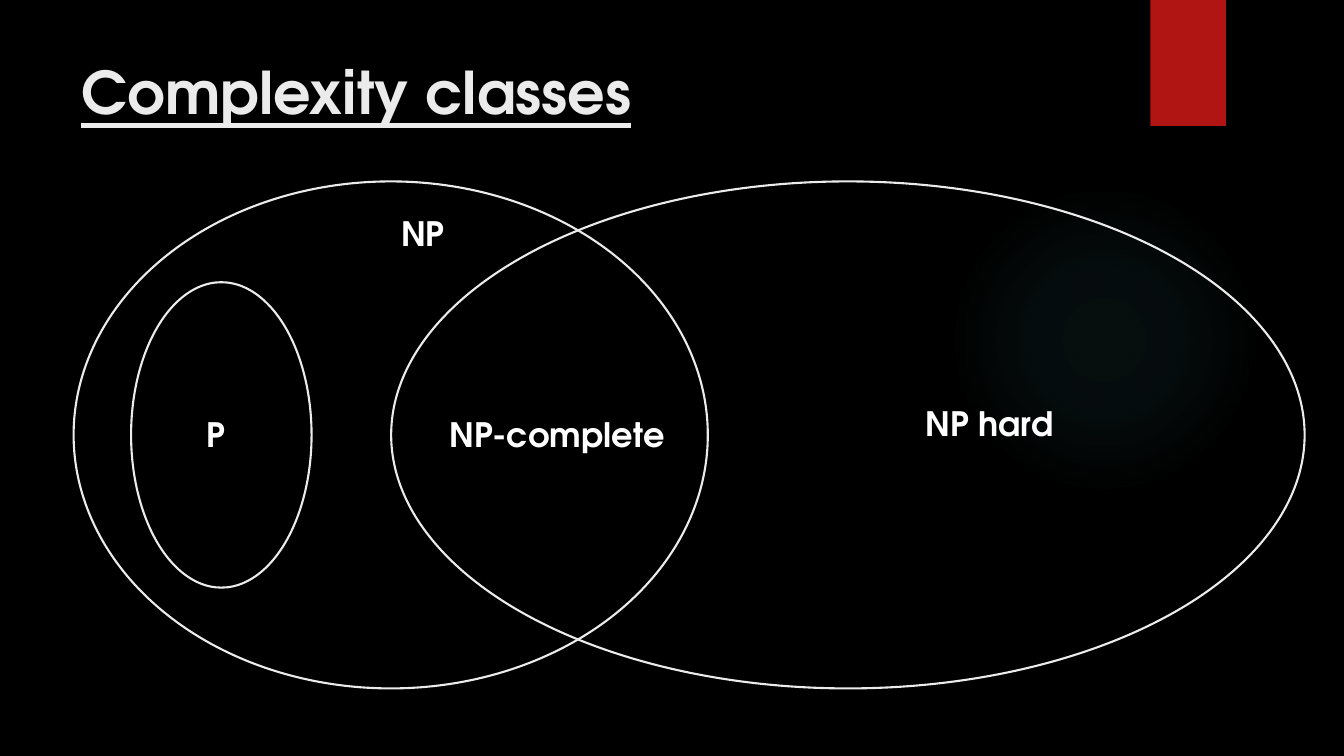
from dataclasses import dataclass

from pptx import Presentation
from pptx.dml.color import RGBColor
from pptx.enum.shapes import MSO_SHAPE
from pptx.enum.text import MSO_ANCHOR, MSO_AUTO_SIZE
from pptx.oxml import parse_xml
from pptx.oxml.ns import nsdecls, qn
from pptx.shapes.autoshape import Shape
from pptx.slide import Slide
from pptx.util import Inches, Pt

FONT = "TeX Gyre Adventor"
COLORS = {
    "background": "000000",
    "glow": "50B9C1",
    "ribbon": "B01513",
    "outline": "EBEBEB",
    "title": "EBEBEB",
    "label": "FFFFFF",
}


@dataclass
class Box:
    left: float
    top: float
    width: float
    height: float

    def lengths(self) -> list[Inches]:
        return [Inches(v) for v in (self.left, self.top, self.width, self.height)]


@dataclass
class Label:
    text: str
    box: Box
    size: int = 24
    color: str = "label"
    underline: bool = False
    wrap: bool = False


def rgb(name: str) -> RGBColor:
    return RGBColor.from_string(COLORS[name])


def add_plain_shape(s: Slide, kind: MSO_SHAPE, box: Box) -> Shape:
    sp = s.shapes.add_shape(kind, *box.lengths())
    sp.shadow.inherit = False
    sp.fill.background()
    sp.line.fill.background()
    return sp


def add_glow(s: Slide, box: Box, stops: list[tuple[int, int]]) -> None:
    """Draw a radial glow from (position %, opacity %) stops."""
    sp = add_plain_shape(s, MSO_SHAPE.OVAL, box)
    stops_xml = "".join(
        f'<a:gs pos="{pos * 1000}"><a:srgbClr val="{COLORS["glow"]}">'
        f'<a:alpha val="{alpha * 1000}"/></a:srgbClr></a:gs>'
        for pos, alpha in stops
    )
    grad = parse_xml(
        f'<a:gradFill {nsdecls("a")}><a:gsLst>{stops_xml}</a:gsLst>'
        '<a:path path="circle"><a:fillToRect l="50000" t="50000" r="50000" b="50000"/>'
        "</a:path></a:gradFill>"
    )
    spPr = sp.element.spPr
    spPr.replace(spPr.find(qn("a:noFill")), grad)


def add_class_outline(s: Slide, box: Box) -> None:
    sp = add_plain_shape(s, MSO_SHAPE.OVAL, box)
    sp.line.color.rgb = rgb("outline")
    sp.line.width = Pt(1.5)


def add_label(s: Slide, label: Label) -> None:
    tf = s.shapes.add_textbox(*label.box.lengths()).text_frame
    tf.text = label.text
    tf.word_wrap = label.wrap
    tf.vertical_anchor = MSO_ANCHOR.TOP
    tf.auto_size = MSO_AUTO_SIZE.NONE if label.wrap else MSO_AUTO_SIZE.SHAPE_TO_FIT_TEXT
    font = tf.paragraphs[0].runs[0].font
    font.name = FONT
    font.size = Pt(label.size)
    font.bold = True
    font.underline = label.underline
    font.color.rgb = rgb(label.color)


LABELS = [
    Label("Complexity classes", Box(0.71, 0.5, 10.29, 1.08), 42, "title", True, True),
    Label("P", Box(1.95, 4.06, 0.4, 0.5)),
    Label("NP", Box(3.88, 2.06, 0.64, 0.5)),
    Label("NP-complete", Box(4.36, 4.06, 2.37, 0.5)),
    Label("NP hard", Box(9.08, 3.95, 1.49, 0.5)),
]
CLASS_OUTLINES = [
    Box(1.3, 2.8, 1.79, 3.03),  # P
    Box(0.73, 1.8, 6.29, 5.03),  # NP
    Box(3.88, 1.8, 9.06, 5.03),  # NP hard
]


def main() -> None:
    prs = Presentation()
    prs.slide_width, prs.slide_height = Inches(13.33), Inches(7.5)
    s = prs.slides.add_slide(prs.slide_layouts[6])

    # Backdrop
    s.background.fill.solid()
    s.background.fill.fore_color.rgb = rgb("background")
    add_glow(s, Box(9.41, 1.83, 3.08, 3.08), [(0, 7), (36, 6), (69, 0), (100, 0)])
    ribbon = add_plain_shape(s, MSO_SHAPE.RECTANGLE, Box(11.41, 0, 0.75, 1.25))
    ribbon.fill.solid()
    ribbon.fill.fore_color.rgb = rgb("ribbon")

    # Title and class names
    for label in LABELS:
        add_label(s, label)

    # Venn diagram
    for box in CLASS_OUTLINES:
        add_class_outline(s, box)

    prs.save("out.pptx")


if __name__ == "__main__":
    main()
